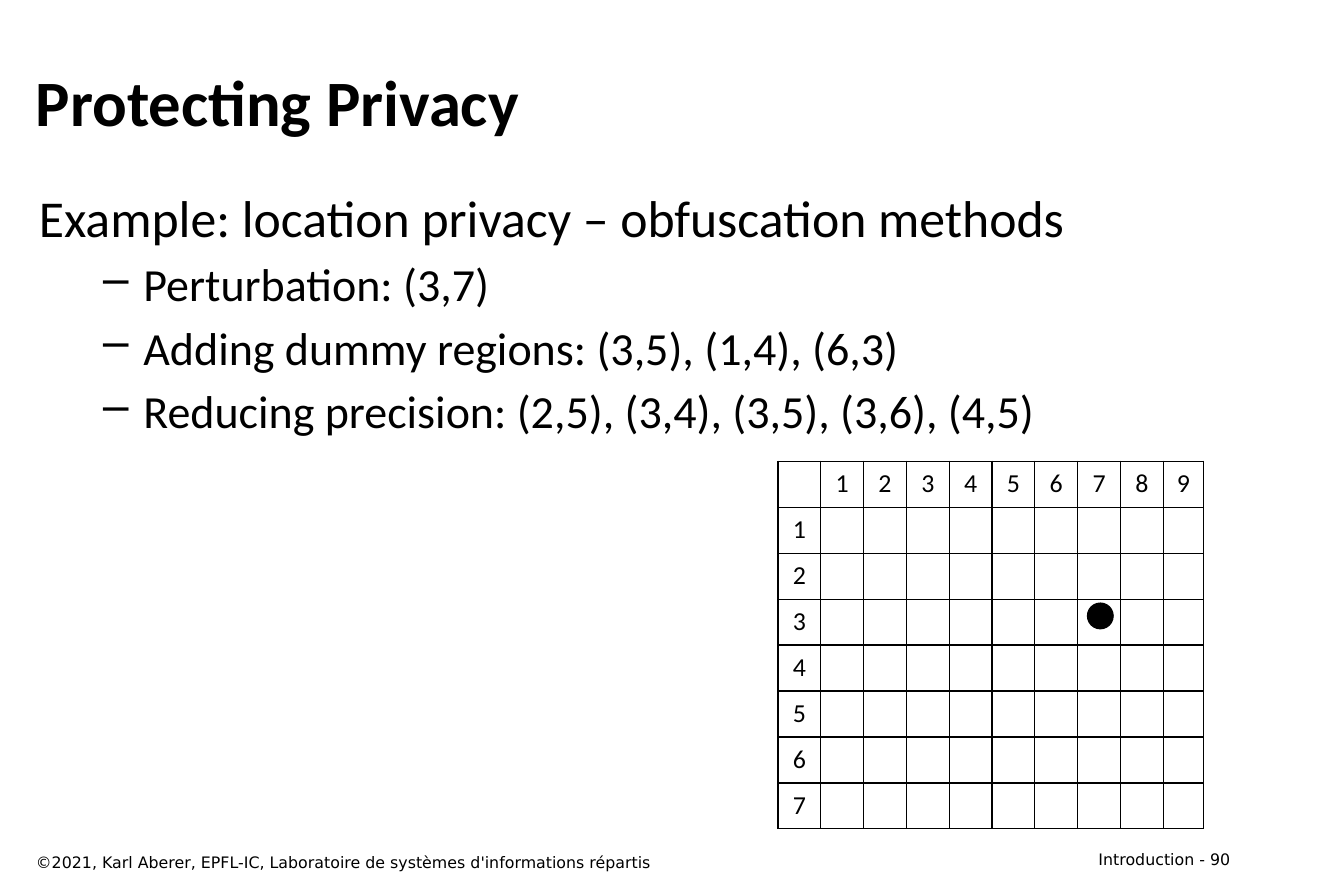
from lxml import etree
from pptx import Presentation
from pptx.dml.color import RGBColor
from pptx.enum.shapes import MSO_SHAPE
from pptx.enum.text import MSO_ANCHOR, PP_ALIGN
from pptx.oxml.ns import qn
from pptx.util import Pt

ELLIPSE = MSO_SHAPE.OVAL
TOP, MIDDLE = MSO_ANCHOR.TOP, MSO_ANCHOR.MIDDLE
LEFT, CENTER, RIGHT = PP_ALIGN.LEFT, PP_ALIGN.CENTER, PP_ALIGN.RIGHT
BLANK_LAYOUT = 6
BLACK = "000000"

INSETS = {"margin_left": Pt(9), "margin_right": Pt(9),
          "margin_top": Pt(4.5), "margin_bottom": Pt(4.5)}
TITLE = {"name": "Calibri", "size": Pt(45), "bold": True}
LEAD = {"name": "Calibri", "size": Pt(36)}
METHOD = {"name": "Calibri", "size": Pt(32)}
CELL = {"name": "Calibri", "size": Pt(18)}
FOOTER = {"name": "DejaVu Sans", "size": Pt(11)}

METHODS = ["Perturbation: (3,7)",
           "Adding dummy regions: (3,5), (1,4), (6,3)",
           "Reducing precision: (2,5), (3,4), (3,5), (3,6), (4,5)"]

GRID_LEFT, GRID_TOP = 541.4, 321
ROW_HEIGHT = 32
COLUMN_WIDTHS = [29.8] * 9 + [28]
ROW_COUNT = 8


def color(value):
    return RGBColor.from_string(value)


def set_attributes(target, values):
    for name, value in values.items():
        setattr(target, name, value)


def write(paragraph, text, font, alignment=LEFT):
    paragraph.alignment = alignment
    paragraph.add_run().text = text
    set_attributes(paragraph.runs[0].font, font)
    paragraph.runs[0].font.color.rgb = color(BLACK)


def add_text(slide, box, text, font, alignment=LEFT, anchor=TOP):
    """Add a text box at (left, top, width, height) and return its frame."""
    frame = slide.shapes.add_textbox(*map(Pt, box)).text_frame
    set_attributes(frame, {**INSETS, "word_wrap": True, "vertical_anchor": anchor})
    write(frame.paragraphs[0], text, font, alignment)
    return frame


def add_dash_item(frame, text):
    paragraph = frame.add_paragraph()
    paragraph.space_before = Pt(5.8)
    properties = paragraph._p.get_or_add_pPr()
    properties.set("marL", str(Pt(72.8)))
    properties.set("indent", str(Pt(-28.1)))
    etree.SubElement(properties, qn("a:buChar"), char="–")
    write(paragraph, text, METHOD)


def add_borders(cell):
    properties = cell._tc.get_or_add_tcPr()
    for index, side in enumerate(("lnL", "lnR", "lnT", "lnB")):
        line = etree.Element(qn(f"a:{side}"), w=str(Pt(1)))
        fill = etree.SubElement(line, qn("a:solidFill"))
        etree.SubElement(fill, qn("a:srgbClr"), val=BLACK)
        properties.insert(index, line)


def add_location_grid(slide):
    """Add the grid whose first row and first column hold the coordinates."""
    table = slide.shapes.add_table(
        ROW_COUNT, len(COLUMN_WIDTHS), Pt(GRID_LEFT), Pt(GRID_TOP),
        Pt(sum(COLUMN_WIDTHS)), Pt(ROW_COUNT * ROW_HEIGHT)).table
    set_attributes(table, {"first_row": False, "horz_banding": False})
    for column, width in zip(table.columns, COLUMN_WIDTHS):
        column.width = Pt(width)
    for row_index, row in enumerate(table.rows):
        row.height = Pt(ROW_HEIGHT)
        for column_index, cell in enumerate(row.cells):
            set_attributes(cell, INSETS)
            cell.fill.background()
            add_borders(cell)
            is_header = (row_index == 0) != (column_index == 0)
            if is_header:
                write(cell.text_frame.paragraphs[0],
                      str(row_index + column_index), CELL, CENTER)


def add_location_dot(slide, left, top, diameter):
    shape = slide.shapes.add_shape(
        ELLIPSE, Pt(left), Pt(top), Pt(diameter), Pt(diameter))
    shape.shadow.inherit = False
    shape.fill.solid()
    shape.fill.fore_color.rgb = color(BLACK)
    shape.line.color.rgb = color(BLACK)
    shape.line.width = Pt(0.75)


def main():
    presentation = Presentation()
    presentation.slide_width, presentation.slide_height = Pt(935.3), Pt(623.5)
    slide = presentation.slides.add_slide(presentation.slide_layouts[BLANK_LAYOUT])

    add_text(slide, (670.3, 586.8, 195, 21), "Introduction - 90", FOOTER, RIGHT)
    add_text(slide, (16, 28, 849.6, 83.5), "Protecting Privacy", TITLE, anchor=MIDDLE)
    body = add_text(slide, (18, 124.5, 849.6, 457),
                    "Example: location privacy – obfuscation methods", LEAD)
    for method in METHODS:
        add_dash_item(body, method)
    add_text(slide, (16, 589, 600.5, 21),
             "©2021, Karl Aberer, EPFL-IC, Laboratoire de systèmes "
             "d'informations répartis", FOOTER)
    add_location_grid(slide)
    add_location_dot(slide, 756.7, 419.6, 18)

    presentation.save("out.pptx")


if __name__ == "__main__":
    main()
